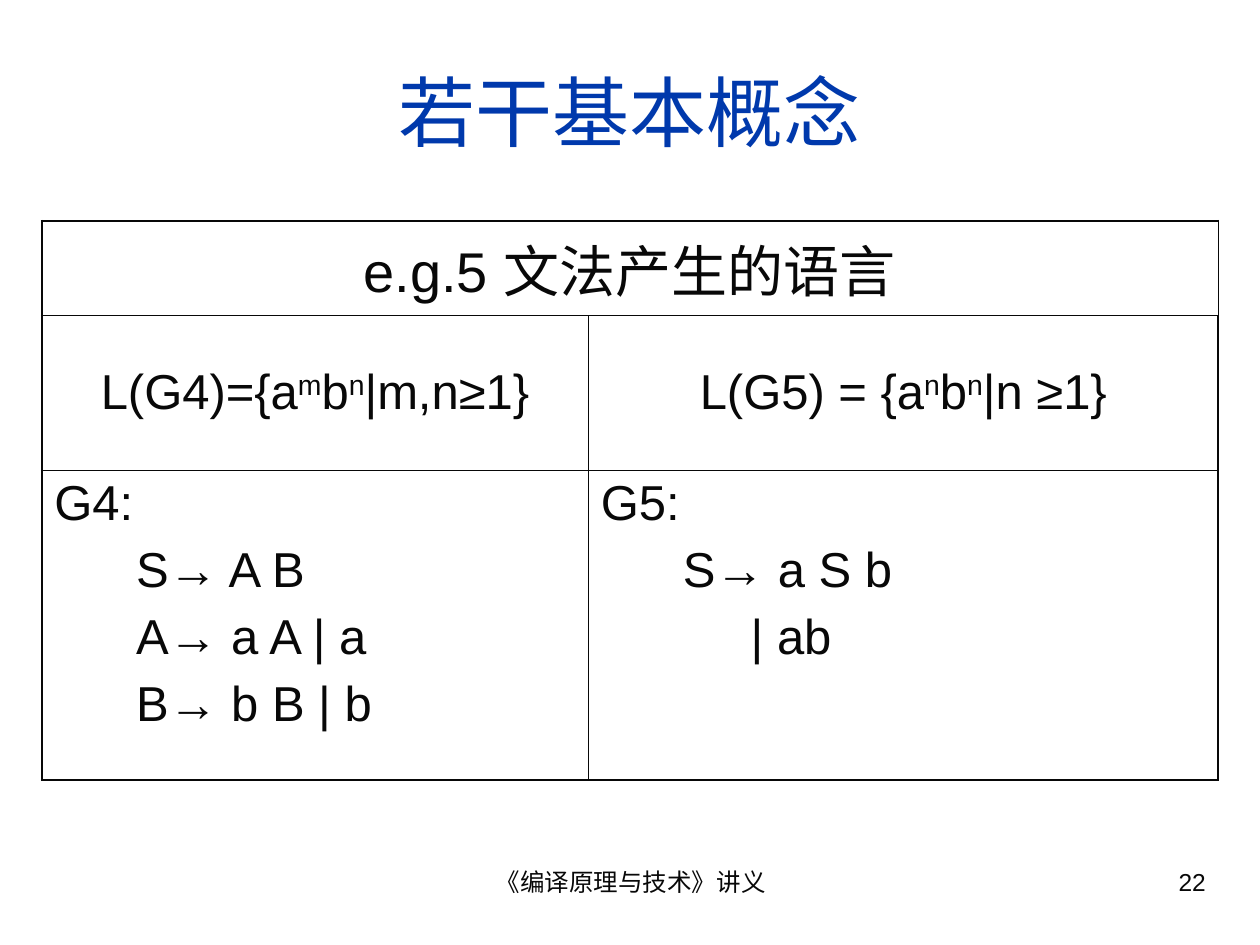
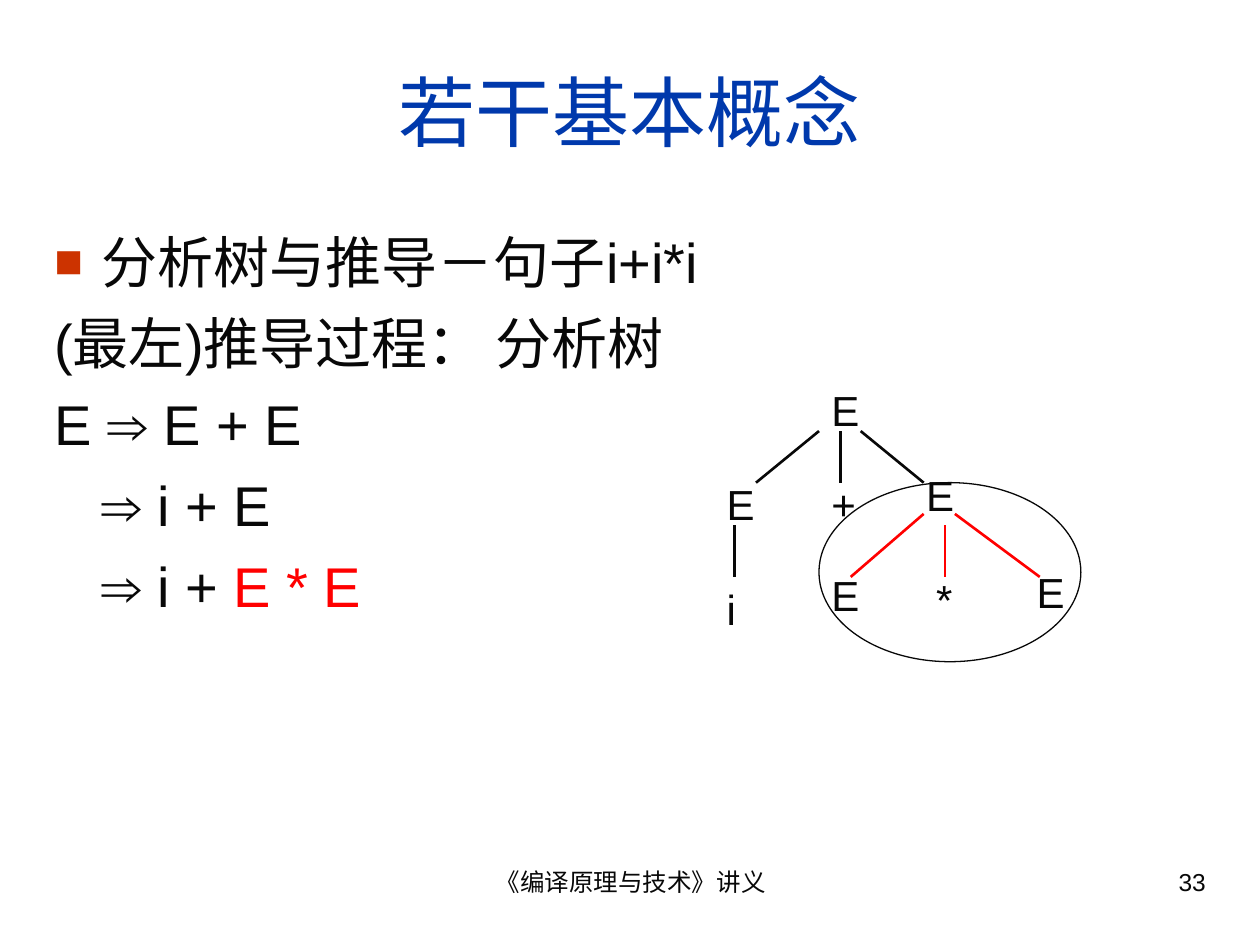
from lxml import etree
from pptx import Presentation
from pptx.dml.color import RGBColor
from pptx.enum import shapes, text
from pptx.oxml import ns
from pptx.util import Cm, Pt

COLORS = {"ink": "080808", "title": "0039AC", "bullet": "CC3300", "accent": "FF0000"}
FONT = "Arial"
TITLE = "若干基本概念"
FOOTER = "《编译原理与技术》讲义"
LEFT, CONTENT_TOP, CONTENT_WIDTH = 0.84, 4.45, 23.72

# Grammar table: runs are (text, superscript); rules are (text, indent in cm)
TABLE_HEADING = "e.g.5 文法产生的语言"
LANGUAGES = [
    [("L(G4)={a", False), ("m", True), ("b", False), ("n", True), ("|m,n≥1}", False)],
    [("L(G5) = {a", False), ("n", True), ("b", False), ("n", True), ("|n ≥1}", False)],
]
GRAMMARS = [
    [("G4:", 0), ("S→ A B", 1.65), ("A→ a A | a", 1.65), ("B→ b B | b", 1.65)],
    [("G5:", 0), ("S→ a S b", 1.65), ("| ab", 3.02)],
]
COLUMN_WIDTHS = [11.02, 12.7]
ROW_HEIGHTS = [1.91, 3.12, 6.25]
OUTER_LINE, INNER_LINE = 1.08, 0.45

# Derivation: (indent in cm, runs of (text, colour))
BULLET_LINE = "分析树与推导－句子i+i*i"
BULLET_INDENT, TREE_HEADING_TAB = 0.95, 14.3
DERIVATION = [
    (0, [("(最左)推导过程：\t分析树", "ink")]),
    (0, [("E ⇒ E + E", "ink")]),
    (BULLET_INDENT, [("⇒ i + E", "ink")]),
    (BULLET_INDENT, [("⇒ i + ", "ink"), ("E * E", "accent")]),
]

# Parse tree: nodes are (symbol, left, top), branches are (start, end, colour)
NODE_SIZE = (1.6, 1.27)
NODES = [
    ("E", 16.51, 7.62),
    ("E", 14.4, 9.53), ("+", 16.51, 9.53), ("E", 18.42, 9.35),
    ("i", 14.4, 11.63), ("E", 16.51, 11.35), ("*", 18.62, 11.43), ("E", 20.65, 11.3),
]
BRANCHES = [
    ((16.51, 8.69), (15.24, 9.73), "ink"),
    ((16.94, 8.69), (16.94, 9.73), "ink"),
    ((17.35, 8.69), (18.62, 9.73), "ink"),
    ((14.81, 10.59), (14.81, 11.63), "ink"),
    ((18.62, 10.36), (17.15, 11.63), "accent"),
    ((19.05, 10.59), (19.05, 11.63), "accent"),
    ((19.25, 10.36), (20.96, 11.63), "accent"),
]
SUBTREE_OVAL = (16.51, 9.73, 5.28, 3.61)


def rgb(name):
    """Return the named palette colour."""
    return RGBColor.from_string(COLORS[name])


def add_run(paragraph, words, size, color="ink", superscript=False):
    """Append one formatted run to a paragraph."""
    run = paragraph.add_run()
    run.text = words
    run.font.name, run.font.size = FONT, Pt(size)
    run.font.color.rgb = rgb(color)
    if superscript:
        run.font._element.set("baseline", "30000")


def next_paragraph(frame, index):
    """Return the first paragraph of a frame, or a new one after it."""
    return frame.add_paragraph() if index else frame.paragraphs[0]


def add_element(parent, tag, **attributes):
    """Append a DrawingML element to a parent."""
    return etree.SubElement(parent, ns.qn(tag), **attributes)


def set_indent(paragraph, left, first=0):
    """Set left margin and first-line indent in cm; return the properties."""
    properties = paragraph._p.get_or_add_pPr()
    properties.set("marL", str(Cm(left)))
    properties.set("indent", str(Cm(first)))
    return properties


def place(shape, left, top, width, height):
    """Move and size a shape, in cm."""
    shape.left, shape.top = Cm(left), Cm(top)
    shape.width, shape.height = Cm(width), Cm(height)


def add_label(slide, words, box, size, align=text.PP_ALIGN.LEFT):
    """Add a one-line text box."""
    frame = slide.shapes.add_textbox(*map(Cm, box)).text_frame
    frame.word_wrap = True
    frame.paragraphs[0].alignment = align
    add_run(frame.paragraphs[0], words, size)


def new_slide(deck, layout, number):
    """Add a slide with the shared title, footer and page number."""
    slide = deck.slides.add_slide(deck.slide_layouts[layout])
    heading = slide.shapes.title
    place(heading, LEFT, 0.64, CONTENT_WIDTH, 3.18)
    heading.text_frame.vertical_anchor = text.MSO_ANCHOR.MIDDLE
    heading.text_frame.paragraphs[0].alignment = text.PP_ALIGN.CENTER
    add_run(heading.text_frame.paragraphs[0], TITLE, 44, "title")
    add_label(slide, FOOTER, (8.69, 17.35, 8.05, 1.32), 14, text.PP_ALIGN.CENTER)
    add_label(slide, str(number), (18.21, 17.35, 6.35, 1.32), 14, text.PP_ALIGN.RIGHT)
    return slide


def border_cell(cell, row, column):
    """Draw thick lines on the table's outside and thin lines inside."""
    last_row, last_column = len(ROW_HEIGHTS) - 1, len(COLUMN_WIDTHS) - 1
    edges = {"a:lnL": column == 0, "a:lnR": column == last_column,
             "a:lnT": row == 0, "a:lnB": row == last_row}
    properties = cell._tc.get_or_add_tcPr()
    for position, (tag, outside) in enumerate(edges.items()):
        line = etree.Element(ns.qn(tag), w=str(Pt(OUTER_LINE if outside else INNER_LINE)))
        add_element(add_element(line, "a:solidFill"), "a:srgbClr", val=COLORS["ink"])
        properties.insert(position, line)


def add_grammar_table(slide):
    """Build the table of two languages and their grammars."""
    frame = slide.shapes.add_table(
        len(ROW_HEIGHTS), len(COLUMN_WIDTHS), Cm(LEFT), Cm(CONTENT_TOP),
        Cm(CONTENT_WIDTH), Cm(sum(ROW_HEIGHTS)))
    table = frame.table
    table.first_row = table.horz_banding = False
    for column, width in zip(table.columns, COLUMN_WIDTHS):
        column.width = Cm(width)
    for row, height in zip(table.rows, ROW_HEIGHTS):
        row.height = Cm(height)
    for row in range(len(ROW_HEIGHTS)):
        for column in range(len(COLUMN_WIDTHS)):
            cell = table.cell(row, column)
            cell.fill.background()
            border_cell(cell, row, column)
            if row < 2:
                cell.vertical_anchor = text.MSO_ANCHOR.MIDDLE
                cell.text_frame.paragraphs[0].alignment = text.PP_ALIGN.CENTER
    table.cell(0, 0).merge(table.cell(0, 1))
    add_run(table.cell(0, 0).text_frame.paragraphs[0], TABLE_HEADING, 32)
    for column, (language, grammar) in enumerate(zip(LANGUAGES, GRAMMARS)):
        for words, raised in language:
            add_run(table.cell(1, column).text_frame.paragraphs[0], words, 28, superscript=raised)
        for index, (rule, indent) in enumerate(grammar):
            paragraph = next_paragraph(table.cell(2, column).text_frame, index)
            paragraph.space_before = Pt(7)
            set_indent(paragraph, indent)
            add_run(paragraph, rule, 28)


def add_derivation(slide):
    """Fill the body with the bullet line and the derivation steps."""
    body = slide.placeholders[1]
    place(body, LEFT, CONTENT_TOP, CONTENT_WIDTH, 12.5)
    frame = body.text_frame
    frame.auto_size = text.MSO_AUTO_SIZE.NONE
    lines = [(BULLET_INDENT, [(BULLET_LINE, "ink")])] + DERIVATION
    for index, (indent, runs) in enumerate(lines):
        paragraph = next_paragraph(frame, index)
        paragraph.space_before = Pt(8)
        properties = set_indent(paragraph, indent, 0 if index else -BULLET_INDENT)
        if index == 0:
            add_element(add_element(properties, "a:buClr"), "a:srgbClr", val=COLORS["bullet"])
            add_element(properties, "a:buSzPct", val="85000")
            add_element(properties, "a:buFont", typeface=FONT)
            add_element(properties, "a:buChar", char="■")
        else:
            add_element(properties, "a:buNone")
            tabs = add_element(properties, "a:tabLst")
            add_element(tabs, "a:tab", pos=str(Cm(TREE_HEADING_TAB)), algn="l")
        for words, color in runs:
            add_run(paragraph, words, 32, color)


def add_parse_tree(slide):
    """Draw the symbols, branches and the oval round the new subtree."""
    for symbol, left, top in NODES:
        add_label(slide, symbol, (left, top, *NODE_SIZE), 24)
    for start, end, color in BRANCHES:
        branch = slide.shapes.add_connector(
            shapes.MSO_CONNECTOR.STRAIGHT, *map(Cm, start + end))
        branch.line.color.rgb, branch.line.width = rgb(color), Pt(1.5)
        add_element(branch._element.spPr, "a:effectLst")
    oval = slide.shapes.add_shape(shapes.MSO_SHAPE.OVAL, *map(Cm, SUBTREE_OVAL))
    oval.shadow.inherit = False
    oval.fill.background()
    oval.line.color.rgb, oval.line.width = rgb("ink"), Pt(0.74)


def main():
    """Build both slides and save the deck."""
    deck = Presentation()
    deck.slide_width, deck.slide_height = Cm(25.4), Cm(19.05)
    add_grammar_table(new_slide(deck, 5, 22))
    derivation_slide = new_slide(deck, 1, 33)
    add_derivation(derivation_slide)
    add_parse_tree(derivation_slide)
    deck.save("out.pptx")


main()
